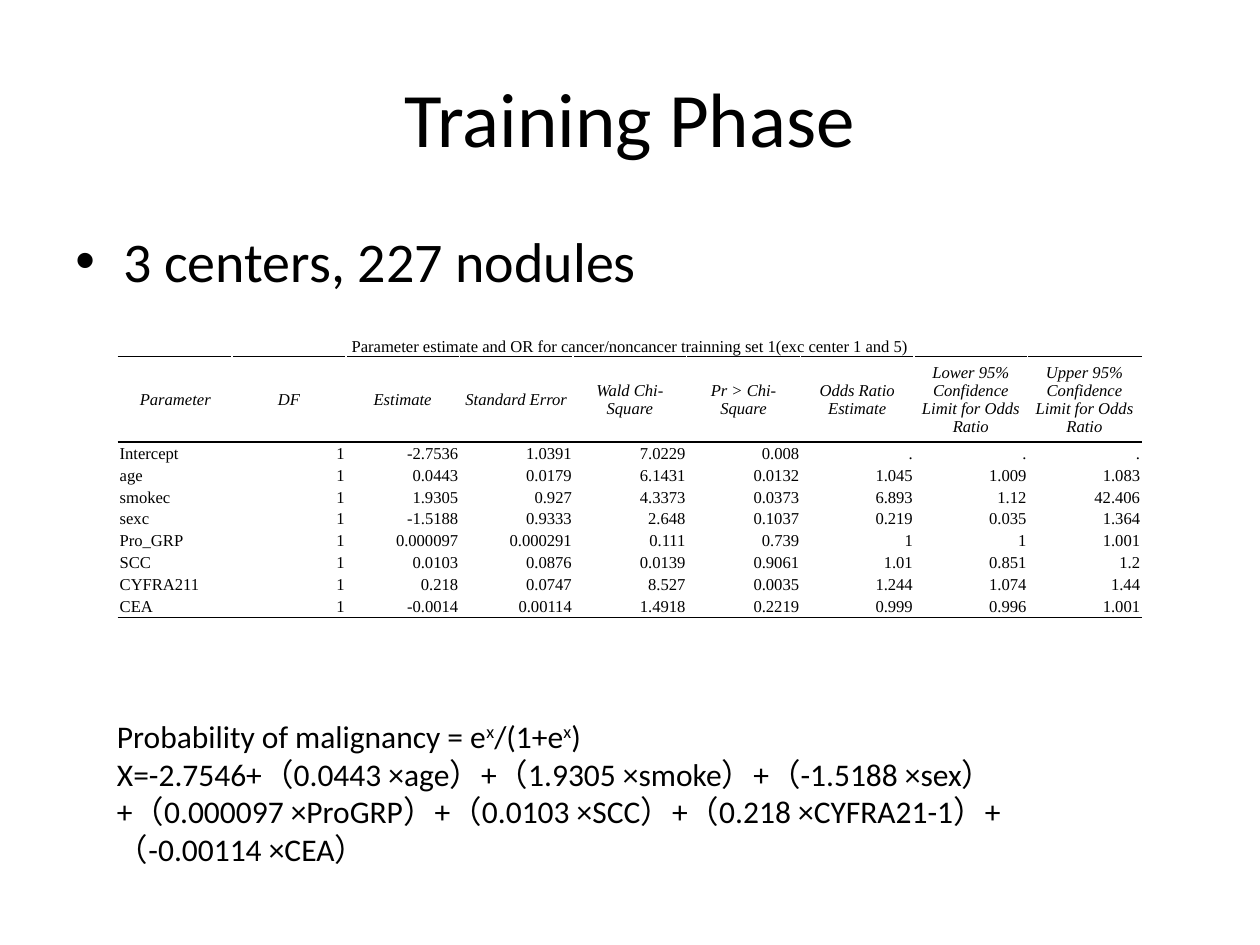
from dataclasses import dataclass

from lxml import etree
from pptx import Presentation, util as u
from pptx.dml.color import RGBColor
from pptx.enum import text
from pptx.oxml import ns

COLORS = {"ink": "000000", "paper": "FFFFFF"}
BODY_FONT = "Calibri"
TABLE_FONT = "Times New Roman"
ALIGN = text.PP_ALIGN
ANCHOR = text.MSO_ANCHOR


@dataclass
class TextBlock:
    left: float
    top: float
    width: float
    height: float
    size: float
    lines: list[list[str]]  # every second piece of a line is superscript
    align: ALIGN = ALIGN.LEFT
    anchor: ANCHOR = ANCHOR.TOP
    bullet: bool = False


@dataclass
class RowStyle:
    height: float
    anchor: ANCHOR = ANCHOR.MIDDLE
    italic: bool = False
    borders: tuple[str, ...] = ()


TEXT_BLOCKS = [
    TextBlock(0.5, 0.3, 9, 1.25, 44, [["Training Phase"]], ALIGN.CENTER, ANCHOR.MIDDLE),
    TextBlock(0.5, 1.75, 9, 4.95, 32, [["3 centers, 227 nodules"]], bullet=True),
    TextBlock(0.83, 5.64, 8.35, 1.31, 18, [
        ["Probability of malignancy = e", "x", "/(1+e", "x", ")"],
        ["X=-2.7546+（0.0443 ×age）+（1.9305 ×smoke）+（-1.5188 ×sex）"
         "+（0.000097 ×ProGRP）+（0.0103 ×SCC）+（0.218 ×CYFRA21-1）+（-0.00114 ×CEA）"],
    ]),
]

CAPTION = "Parameter estimate and OR for cancer/noncancer trainning set 1(exc center 1 and 5)"
HEADERS = ["Parameter", "DF", "Estimate", "Standard Error", "Wald Chi-Square",
           "Pr > Chi-Square", "Odds Ratio Estimate",
           "Lower 95% Confidence Limit for Odds Ratio",
           "Upper 95% Confidence Limit for Odds Ratio"]
ESTIMATES = [
    ["Intercept", "1", "-2.7536", "1.0391", "7.0229", "0.008", ".", ".", "."],
    ["age", "1", "0.0443", "0.0179", "6.1431", "0.0132", "1.045", "1.009", "1.083"],
    ["smokec", "1", "1.9305", "0.927", "4.3373", "0.0373", "6.893", "1.12", "42.406"],
    ["sexc", "1", "-1.5188", "0.9333", "2.648", "0.1037", "0.219", "0.035", "1.364"],
    ["Pro_GRP", "1", "0.000097", "0.000291", "0.111", "0.739", "1", "1", "1.001"],
    ["SCC", "1", "0.0103", "0.0876", "0.0139", "0.9061", "1.01", "0.851", "1.2"],
    ["CYFRA211", "1", "0.218", "0.0747", "8.527", "0.0035", "1.244", "1.074", "1.44"],
    ["CEA", "1", "-0.0014", "0.00114", "1.4918", "0.2219", "0.999", "0.996", "1.001"],
]
TABLE_LEFT, TABLE_TOP, TABLE_WIDTH, TABLE_HEIGHT = 0.94, 2.65, 8.12, 2.25
CAPTION_HEIGHT, HEADER_HEIGHT = 0.18, 0.68


def format_font(font, name: str, size: float, italic: bool = False) -> None:
    font.name = name
    font.size = u.Pt(size)
    font.bold = False
    font.italic = italic
    font.color.rgb = RGBColor.from_string(COLORS["ink"])


def add_bullet(para, indent: float) -> None:
    properties = para._p.get_or_add_pPr()
    properties.set("marL", str(u.Inches(indent)))
    properties.set("indent", str(-u.Inches(indent)))
    etree.SubElement(properties, ns.qn("a:buFont"), typeface="Arial")
    etree.SubElement(properties, ns.qn("a:buChar"), char="•")


def add_text(page, block: TextBlock) -> None:
    box = page.shapes.add_textbox(u.Inches(block.left), u.Inches(block.top),
                                  u.Inches(block.width), u.Inches(block.height))
    frame = box.text_frame
    frame.word_wrap = True
    frame.vertical_anchor = block.anchor
    for number, pieces in enumerate(block.lines):
        para = frame.add_paragraph() if number else frame.paragraphs[0]
        para.alignment = block.align
        if block.bullet:
            para.space_before = u.Pt(block.size * 0.2)
            add_bullet(para, 0.38)
        for position, piece in enumerate(pieces):
            span = para.add_run()
            span.text = piece
            format_font(span.font, BODY_FONT, block.size)
            if position % 2:
                span.font._element.set("baseline", "30000")


def add_border(cell, side: str) -> None:
    line = etree.SubElement(cell._tc.get_or_add_tcPr(), ns.qn(f"a:ln{side}"),
                            w=str(u.Pt(1)))
    fill = etree.SubElement(line, ns.qn("a:solidFill"))
    etree.SubElement(fill, ns.qn("a:srgbClr"), val=COLORS["ink"])


def format_cell(cell, wording: str, align: ALIGN, style: RowStyle) -> None:
    cell.margin_left = cell.margin_right = cell.margin_top = u.Inches(0.01)
    cell.margin_bottom = 0
    cell.vertical_anchor = style.anchor
    for side in style.borders:
        add_border(cell, side)
    cell.fill.solid()
    cell.fill.fore_color.rgb = RGBColor.from_string(COLORS["paper"])
    para = cell.text_frame.paragraphs[0]
    para.text = wording
    para.alignment = align
    format_font(para.font, TABLE_FONT, 9.5, style.italic)
    for span in para.runs:
        format_font(span.font, TABLE_FONT, 9.5, style.italic)


def add_estimate_table(page) -> None:
    columns = len(HEADERS)
    rows = [[CAPTION] + [""] * (columns - 1), HEADERS, *ESTIMATES]
    body_height = (TABLE_HEIGHT - CAPTION_HEIGHT - HEADER_HEIGHT) / len(ESTIMATES)
    styles = [RowStyle(CAPTION_HEIGHT, ANCHOR.BOTTOM, borders=("B",)),
              RowStyle(HEADER_HEIGHT, italic=True, borders=("T", "B")),
              RowStyle(body_height, borders=("T",)),
              *[RowStyle(body_height) for _ in ESTIMATES[2:]],
              RowStyle(body_height, borders=("B",))]
    table = page.shapes.add_table(
        len(rows), columns, u.Inches(TABLE_LEFT), u.Inches(TABLE_TOP),
        u.Inches(TABLE_WIDTH), u.Inches(TABLE_HEIGHT)).table
    table.first_row = table.horz_banding = False
    for column in table.columns:
        column.width = u.Inches(TABLE_WIDTH / columns)
    for r, (row, style) in enumerate(zip(rows, styles)):
        table.rows[r].height = u.Inches(style.height)
        for c, wording in enumerate(row):
            body_align = ALIGN.RIGHT if c else ALIGN.LEFT
            format_cell(table.cell(r, c), wording,
                        ALIGN.CENTER if r < 2 else body_align, style)
    table.cell(0, 0).merge(table.cell(0, columns - 1))


def main() -> None:
    deck = Presentation()
    deck.slide_width, deck.slide_height = u.Inches(10), u.Inches(7.5)
    page = deck.slides.add_slide(deck.slide_layouts[6])
    # Title, bullet and probability formula
    for block in TEXT_BLOCKS:
        add_text(page, block)
    # Parameter estimates
    add_estimate_table(page)
    deck.save("out.pptx")


if __name__ == "__main__":
    main()
